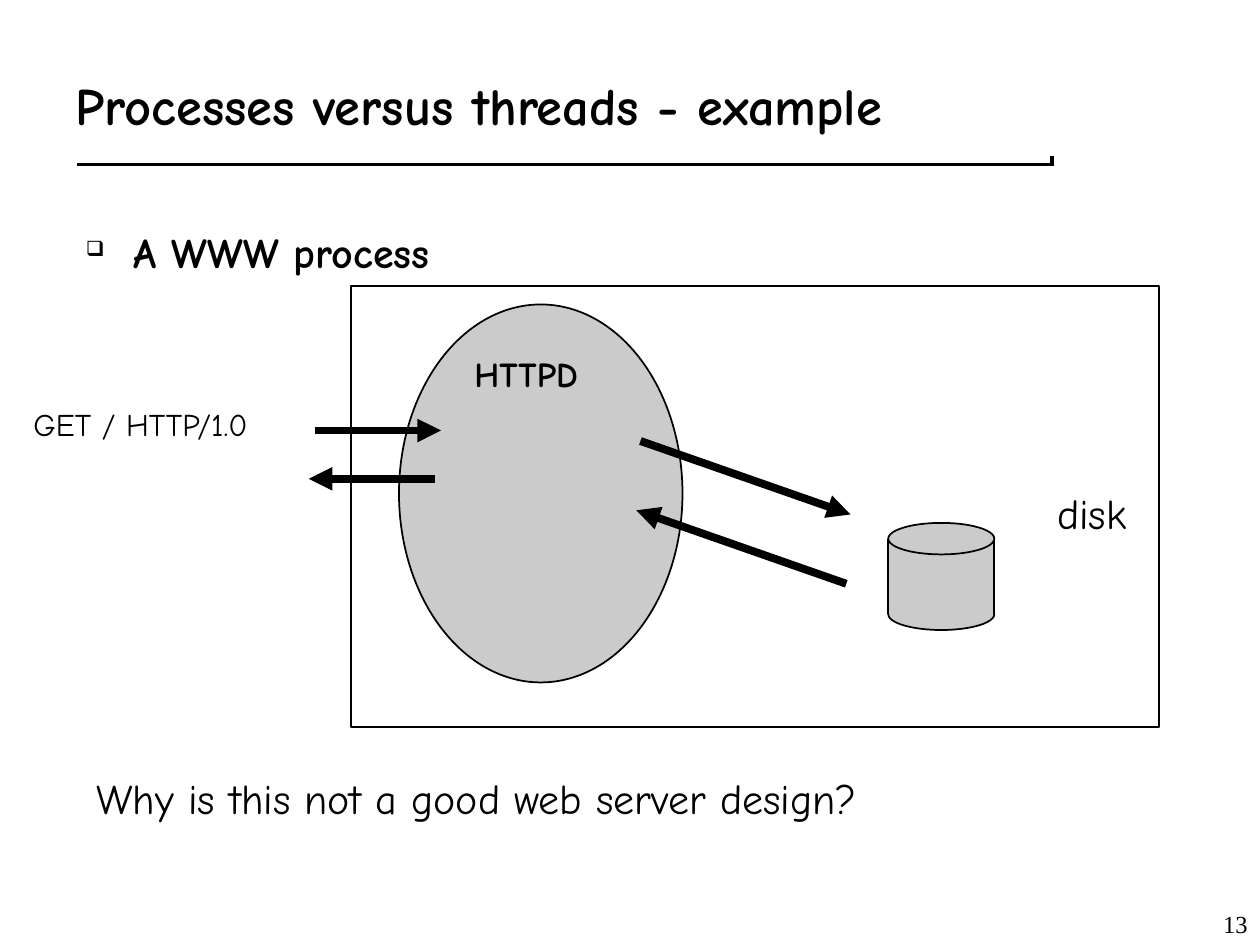
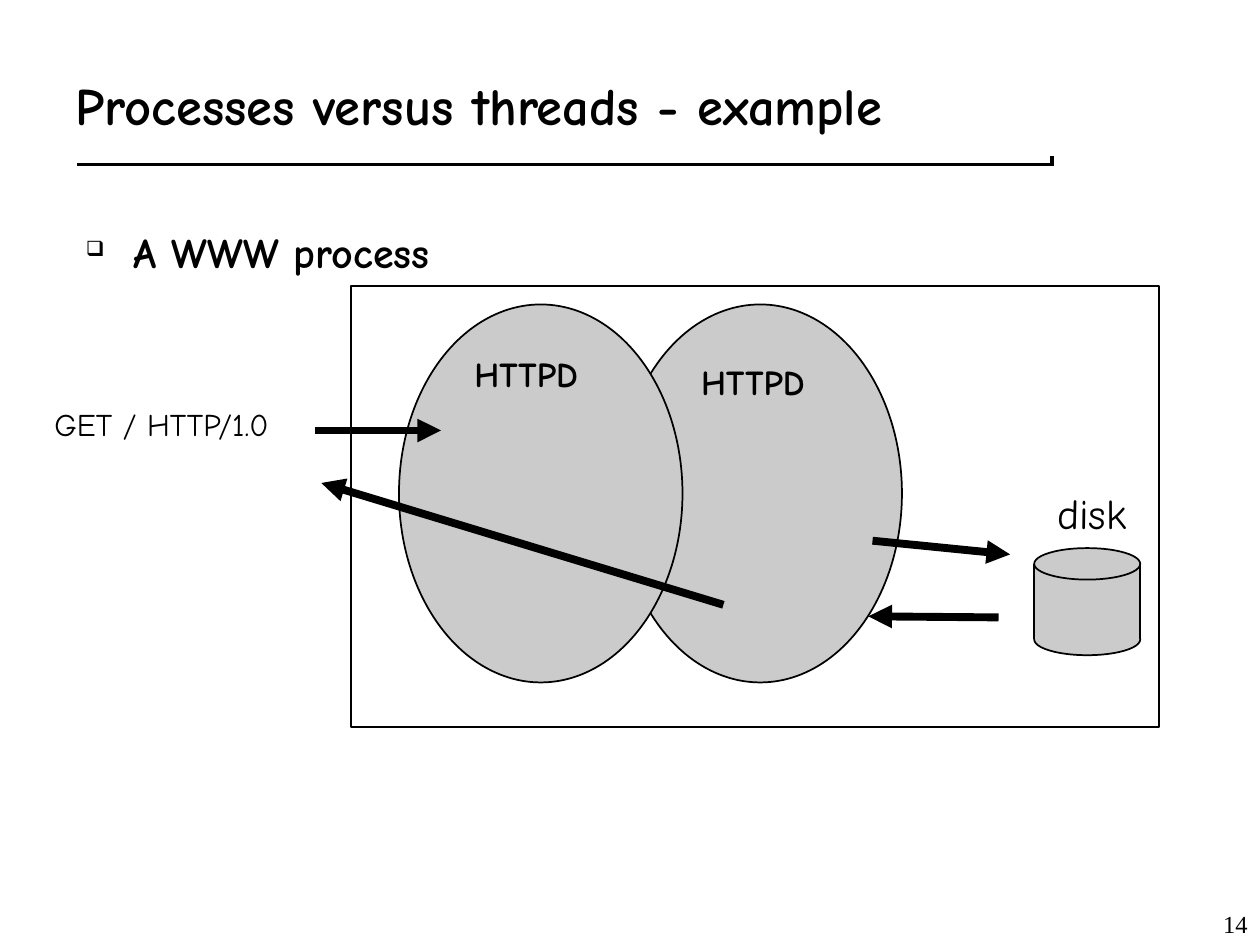
from dataclasses import dataclass

from lxml import etree
from pptx import Presentation
from pptx import util as u
from pptx.dml.color import RGBColor
from pptx.enum import shapes, text
from pptx.oxml import ns


@dataclass(frozen=True)
class Theme:
    """Colours, fonts, type sizes and line widths."""
    ink: str = "000000"
    paper: str = "FFFFFF"
    grey: str = "CBCBCB"
    hand: str = "Comic Neue"
    serif: str = "Times New Roman"
    title: int = 30
    body: int = 24
    process: int = 20
    request: int = 18
    number: int = 14
    outline: float = 1
    arrow: float = 4.5
    rule: float = 6


def add_xml(parent, tag, **attributes):
    """Append a DrawingML child element."""
    return etree.SubElement(parent, ns.qn(tag), attributes)


def write(frame, words, size, font, color, bold=False, align="LEFT",
          anchor="TOP", wrap=True, bullet=None):
    """Fill a text frame with one formatted paragraph."""
    frame.word_wrap = wrap
    frame.vertical_anchor = text.MSO_ANCHOR[anchor]
    paragraph = frame.paragraphs[0]
    paragraph.alignment = text.PP_ALIGN[align]
    if bullet:
        properties = paragraph._p.get_or_add_pPr()
        hang = u.Inches(0.38)
        properties.set("marL", str(hang))
        properties.set("indent", str(-hang))
        add_xml(add_xml(properties, "a:buClr"), "a:srgbClr", val=color)
        add_xml(properties, "a:buSzPct", val="50000")
        add_xml(properties, "a:buChar", char=bullet)
    run = paragraph.add_run()
    run.text = words
    run.font.name, run.font.size, run.font.bold = font, u.Pt(size), bold
    run.font.color.rgb = RGBColor.from_string(color)


class Deck:
    """Draws slides on a grid of 120 columns by 90 rows."""

    def __init__(self, theme):
        """Start a presentation of 10 by 7.5 inches."""
        self.theme = theme
        self.show = Presentation()
        self.show.slide_width, self.show.slide_height = u.Inches(10), u.Inches(7.5)
        self.cell = self.show.slide_width / 120
        self.layer = None

    def grid(self, *cells):
        """Turn grid units into lengths."""
        return [u.Emu(round(cell * self.cell)) for cell in cells]

    def label(self, words, place, size, font=None, **style):
        """Place a text box."""
        box = self.layer.add_textbox(*self.grid(*place))
        write(box.text_frame, words, size, font or self.theme.hand,
              self.theme.ink, **style)

    def block(self, kind, place, fill=None, line=None):
        """Place an outlined preset shape."""
        block = self.layer.add_shape(shapes.MSO_SHAPE[kind], *self.grid(*place))
        block.shadow.inherit = False
        if fill:
            block.fill.solid()
            block.fill.fore_color.rgb = RGBColor.from_string(fill)
        else:
            block.fill.background()
        block.line.color.rgb = RGBColor.from_string(line or self.theme.ink)
        block.line.width = u.Pt(self.theme.outline)

    def line(self, start, end, width, color=None, arrow=False):
        """Draw a straight line, with an arrowhead at its end if asked."""
        line = self.layer.add_connector(
            shapes.MSO_CONNECTOR.STRAIGHT, *self.grid(*start, *end))
        line.line.color.rgb = RGBColor.from_string(color or self.theme.ink)
        line.line.width = u.Pt(width)
        if arrow:
            add_xml(line.line._get_or_add_ln(), "a:tailEnd", type="triangle")
        add_xml(line._element.spPr, "a:effectLst")

    def arrow(self, start, end):
        """Draw a message arrow."""
        self.line(start, end, self.theme.arrow, arrow=True)

    def process(self, left, label_left, label_top):
        """Draw a server process with its name."""
        self.block("OVAL", (left, 29, 27, 36), self.theme.grey)
        self.label("HTTPD", (label_left, label_top, 14, 5.25),
                   self.theme.process, bold=True)

    def disk(self, left, top):
        """Draw a grouped cylinder and the disk label."""
        page, width, grey = self.layer, 10.1, self.theme.grey
        self.layer = page.add_group_shape().shapes
        self.block("OVAL", (left, top + 7.2, width, 3), grey)
        self.block("RECTANGLE", (left, top + 1.8, width, 6.8), grey, grey)
        self.block("OVAL", (left, top, width, 3), grey)
        for side in (left, left + width):
            self.line((side, top + 8.7), (side, top + 1.5), self.theme.outline)
        self.layer = page
        self.label("disk", (99.5, 45.8, 9, 6), self.theme.body, wrap=False)

    def start(self, number):
        """Open a slide with its title rule, title, topic and number."""
        theme = self.theme
        slide = self.show.slides.add_slide(self.show.slide_layouts[6])
        self.layer = slide.shapes
        for shift, color in ((0.35, theme.ink), (0, theme.paper)):
            self.line((7 + shift, 15 + shift), (100 + shift, 15 + shift),
                      theme.rule, color)
        self.label(str(number), (95, 84, 25, 6), theme.number, theme.serif,
                   align="RIGHT", anchor="BOTTOM")
        self.label("Processes versus threads - example", (6, 4, 103, 12),
                   theme.title, bold=True, anchor="MIDDLE")
        self.label("A WWW process", (7, 21, 102, 59), theme.body,
                   bold=True, bullet="❑")

    def request(self, left):
        """Draw the incoming request, its arrow and the server frame."""
        self.label("GET / HTTP/1.0", (left, 38, 31 - left, 4.8), self.theme.request)
        self.arrow((30, 41), (42, 41))
        self.block("RECTANGLE", (33.45, 27.25, 76.95, 42))


def single_process(deck):
    """Show one process that serves the request by itself."""
    deck.start(13)
    deck.process(38, 44, 33)
    deck.request(2)
    deck.arrow((61, 42), (81, 49))
    deck.disk(84.6, 49.8)
    deck.arrow((80.6, 55.6), (60.6, 48.6))
    deck.arrow((41.4, 45.6), (29.4, 45.6))
    deck.label("Why is this not a good web server design?",
               (8, 73, 103, 6), deck.theme.body)


def two_processes(deck):
    """Show a second process that answers in place of the first."""
    deck.start(14)
    deck.process(58.9, 65.6, 33.7)
    deck.process(38, 44, 33)
    deck.request(4)
    deck.arrow((83.1, 51.5), (96.2, 52.8))
    deck.disk(98.5, 52.2)
    deck.arrow((95.1, 58.8), (82.7, 58.7))
    deck.arrow((68.9, 57.6), (30.6, 46))


def main():
    """Build and save both slides."""
    deck = Deck(Theme())
    single_process(deck)
    two_processes(deck)
    deck.show.save("out.pptx")


if __name__ == "__main__":
    main()
